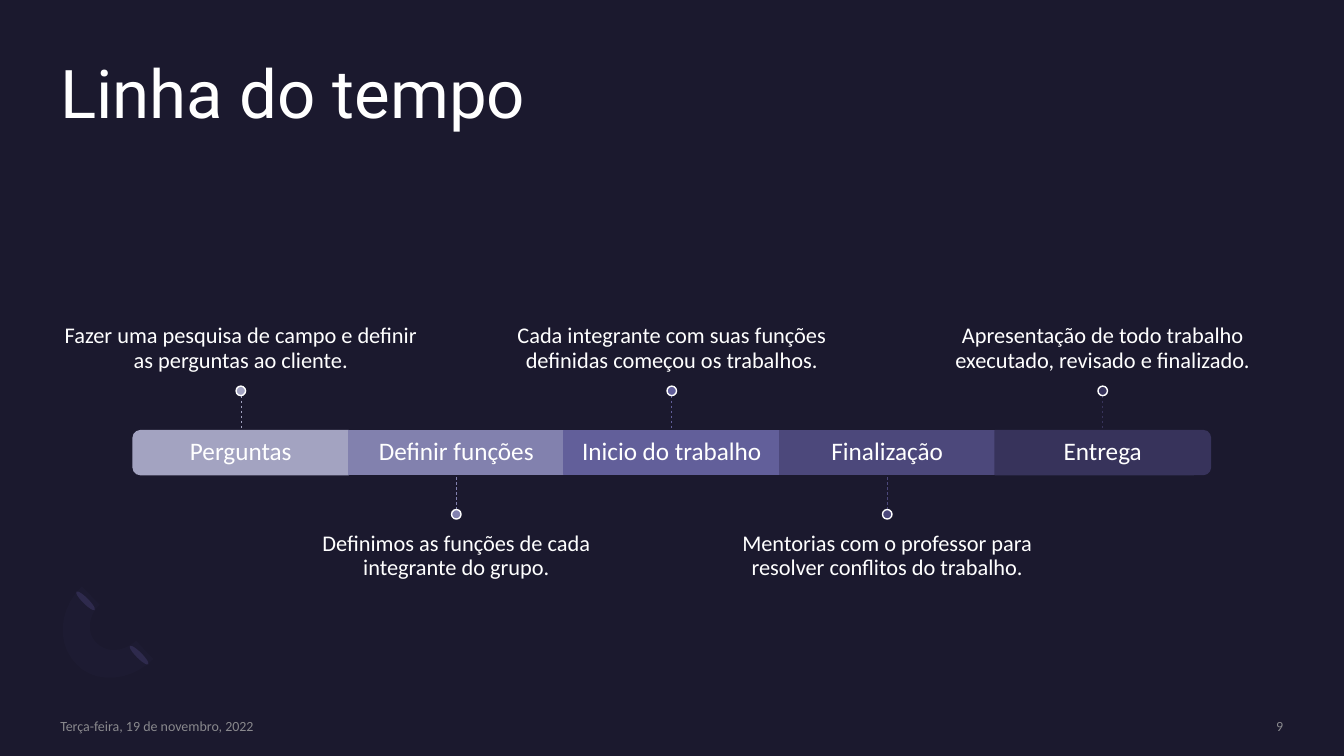
"""Build the project timeline slide."""
from dataclasses import dataclass
from lxml.etree import SubElement
from pptx import Presentation
from pptx.dml.color import RGBColor as Rgb
from pptx.enum.dml import MSO_LINE as Dash
from pptx.enum.shapes import MSO_CONNECTOR as Link, MSO_SHAPE as Kind
from pptx.enum.text import MSO_ANCHOR as Anchor, PP_ALIGN as Align
from pptx.oxml.ns import qn
from pptx.util import Cm, Pt


@dataclass(frozen=True)
class Theme:
    back: str = "1B192E"
    white: str = "FFFFFF"
    grey: str = "A6A6A6"
    petal: str = "2C284A"
    arc: str = "7771B2"
    head: str = "Roboto"
    body: str = "Calibri"
    title: int = 48
    label: int = 18
    note: int = 16
    foot: int = 10


look = Theme()


def write(text, box, size, align=Align.LEFT, anchor=Anchor.TOP,
          pads=(0, 0, 0, 0), font=look.body, color=look.white, space=0.9):
    frame = slide.shapes.add_textbox(*map(Cm, box)).text_frame
    frame.word_wrap = True
    frame.vertical_anchor = anchor
    (frame.margin_left, frame.margin_top,
     frame.margin_right, frame.margin_bottom) = map(Cm, pads)
    frame.text = text
    para = frame.paragraphs[0]
    para.alignment = align
    para.line_spacing = space
    run = para.runs[0]
    run.font.name = font
    run.font.size = Pt(size)
    run.font.color.rgb = Rgb.from_string(color)
    return run


def fade(node, share):
    tint = next(node.iter(qn("a:srgbClr")))
    SubElement(tint, qn("a:alpha")).set("val", str(share * 1000))


deck = Presentation()
deck.slide_width, deck.slide_height = Cm(33.87), Cm(19.05)
slide = deck.slides.add_slide(deck.slide_layouts[6])
slide.background.fill.solid()
slide.background.fill.fore_color.rgb = Rgb.from_string(look.back)

for left, top in [(3.43, 16.18), (2.08, 14.81)]:
    petal = slide.shapes.add_shape(Kind.OVAL, Cm(left), Cm(top), Cm(0.15), Cm(0.66))
    petal.rotation = 135
    petal.shadow.inherit = False
    petal.fill.solid()
    petal.fill.fore_color.rgb = Rgb.from_string(look.petal)
    petal.line.fill.background()

curves = [
    [(1.93, 16.74), (1.42, 16.23), (1.47, 15.37), (2.06, 14.78)],
    [(2.51, 15.24), (2.21, 15.52), (2.18, 15.98), (2.44, 16.21)],
    [(2.44, 16.21), (2.69, 16.46), (3.12, 16.43), (3.43, 16.15)],
    [(3.86, 16.61), (3.3, 17.17), (2.41, 17.25), (1.93, 16.74)],
]
steps = 10
dots = []
for a, b, c, d in curves:
    for step in range(steps + 1):
        t = step / steps
        u = 1 - t
        dots.append([Cm(u**3 * p + 3 * u * u * t * q + 3 * u * t * t * r + t**3 * s)
                     for p, q, r, s in zip(a, b, c, d)])
pen = slide.shapes.build_freeform(*dots[0], scale=1.0)
pen.add_line_segments(dots[1:], close=True)
arc = pen.convert_to_shape()
arc.shadow.inherit = False
arc.fill.solid()
arc.fill.fore_color.rgb = Rgb.from_string(look.arc)
fade(arc.fill.fore_color._xFill, 3)
arc.line.fill.background()

write("Linha do tempo", (1.52, 1.52, 30.81, 3.71), look.title, font=look.head)

stages = [
    ("Perguntas", "A3A3C1",
     "Fazer uma pesquisa de campo e definir as perguntas ao cliente."),
    ("Definir funções", "8281AE",
     "Definimos as funções de cada integrante do grupo."),
    ("Inicio do trabalho", "625F9A",
     "Cada integrante com suas funções definidas começou os trabalhos."),
    ("Finalização", "4C487B",
     "Mentorias com o professor para resolver conflitos do trabalho."),
    ("Entrega", "37335B",
     "Apresentação de todo trabalho executado, revisado e finalizado."),
]
first, wide, high, roof = 6.07, 5.43, 1.11, 10.85
floor = roof + high
stem, dot, span, tall = 0.88, 0.24, 9.07, 3.86
turns = {0: 270, len(stages) - 1: 90}

for i, (name, tone, note) in enumerate(stages):
    mid = first + i * wide
    color = Rgb.from_string(tone)
    above = i % 2 == 0
    edge = roof if above else floor
    tip = roof - stem if above else floor + stem
    rim = tip - dot if above else tip

    w, h = (high, wide) if i in turns else (wide, high)
    kind = Kind.ROUND_2_SAME_RECTANGLE if i in turns else Kind.RECTANGLE
    bar = slide.shapes.add_shape(
        kind, Cm(mid - w / 2), Cm(roof + (high - h) / 2), Cm(w), Cm(h))
    bar.rotation = turns.get(i, 0)
    bar.line.color.rgb = color

    line = slide.shapes.add_connector(
        Link.STRAIGHT, Cm(mid), Cm(tip), Cm(mid), Cm(edge))
    line.line.color.rgb = color
    line.line.width = Pt(0.5)
    line.line.dash_style = Dash.DASH
    SubElement(line._element.spPr, qn("a:effectLst"))

    knob = slide.shapes.add_shape(
        Kind.OVAL, Cm(mid - dot / 2), Cm(rim), Cm(dot), Cm(dot))
    knob.line.color.rgb = Rgb.from_string(look.white)
    for shape in (bar, knob):
        shape.shadow.inherit = False
        shape.fill.solid()
        shape.fill.fore_color.rgb = color
        shape.line.width = Pt(1)

    write(name, (mid - wide / 2, roof, wide, high), look.label,
          Align.CENTER, Anchor.MIDDLE, (0.38, 0.38, 0.38, 0.38))
    top = rim - tall if above else rim + dot
    write(note, (mid - span / 2, top, span, tall), look.note, Align.CENTER,
          Anchor.BOTTOM if above else Anchor.TOP,
          (0, 0, 0, 0.33) if above else (0, 0.33, 0, 0))

for text, left, width, align in [
    ("Terça-feira, 19 de novembro, 2022", 1.52, 7.32, Align.LEFT),
    ("9", 27.64, 4.7, Align.RIGHT),
]:
    run = write(text, (left, 18.08, width, 0.43), look.foot, align,
                Anchor.MIDDLE, color=look.grey, space=1.0)
    fade(run._r, 80)

deck.save("out.pptx")
